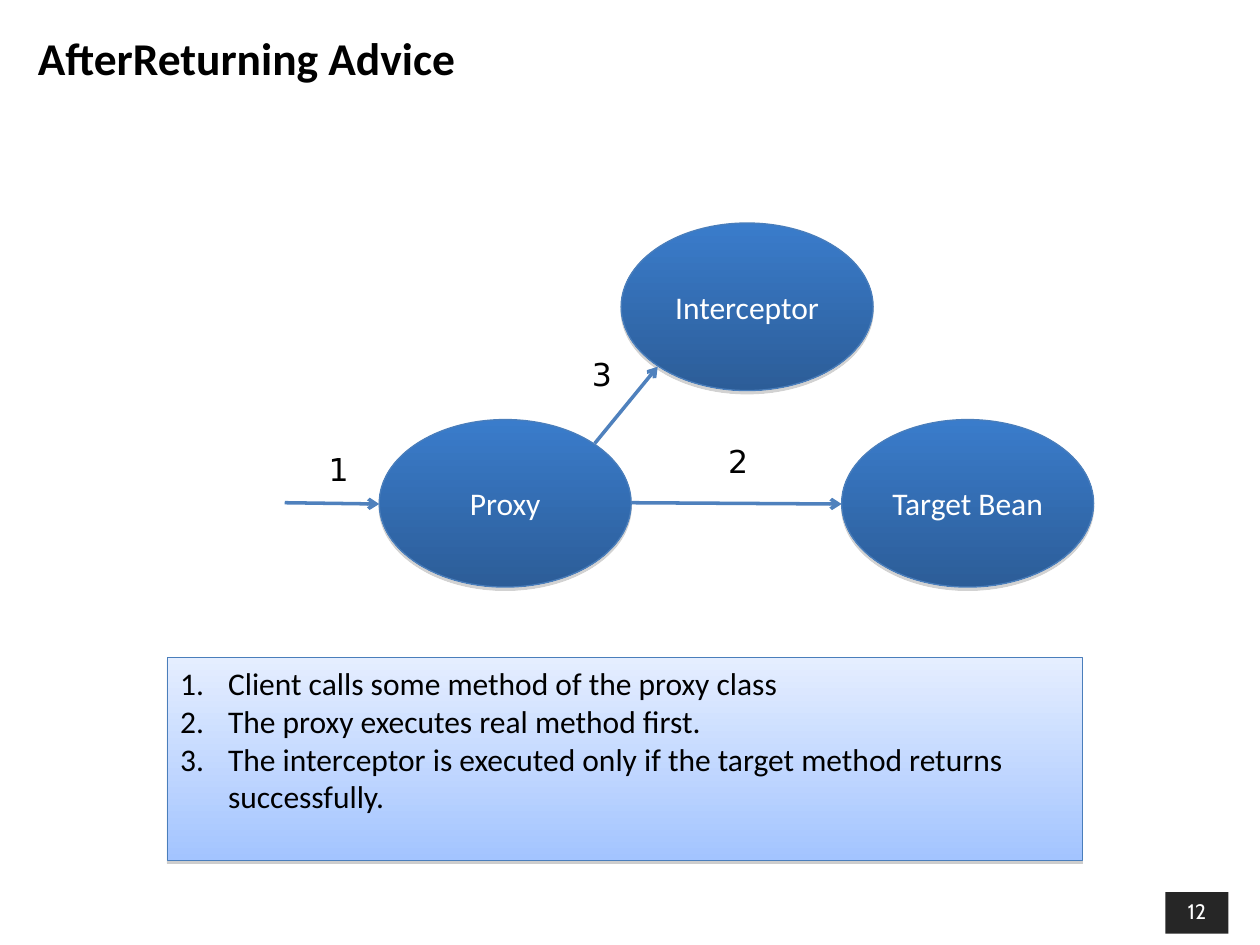
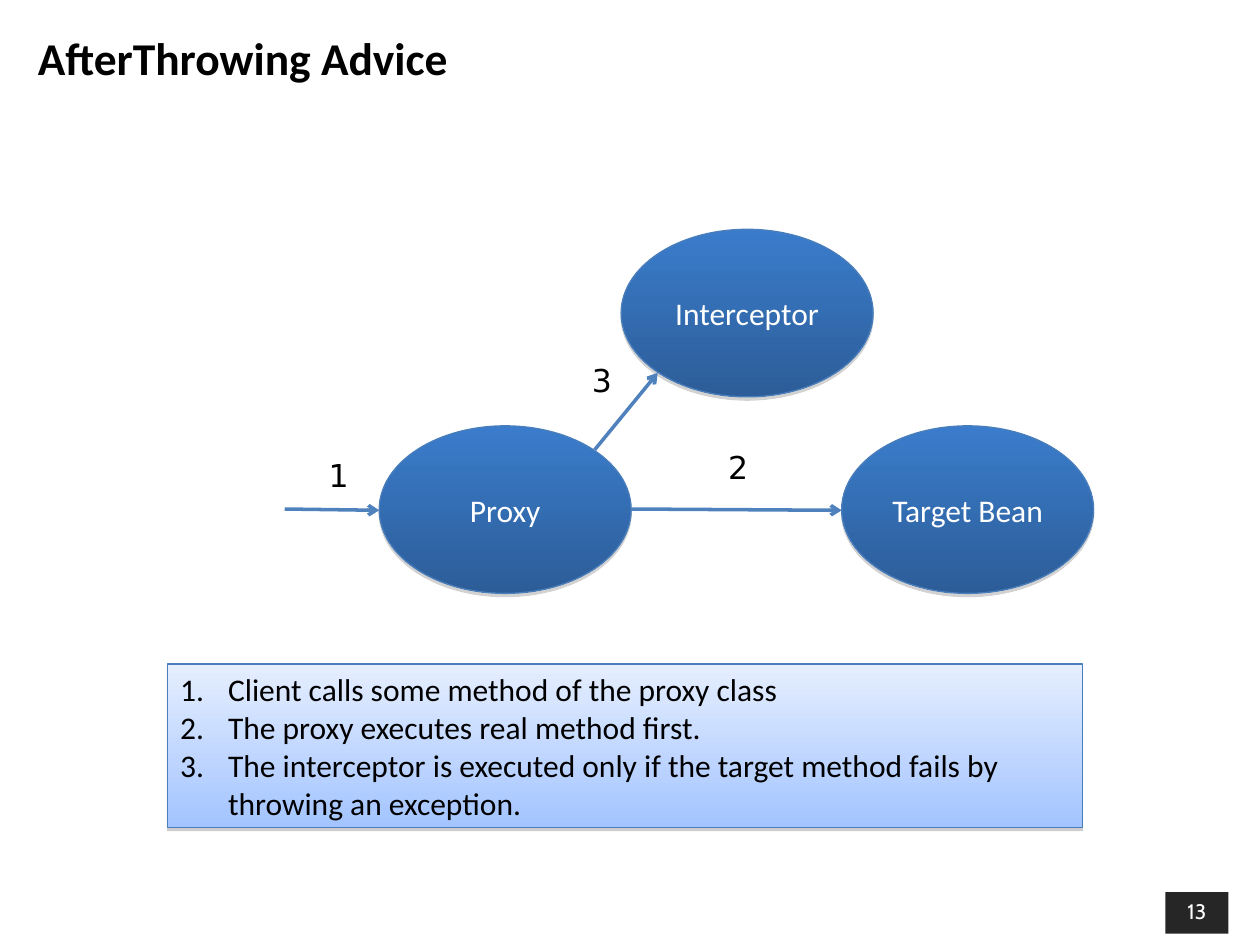
from lxml.etree import SubElement
from pptx import Presentation
from pptx.dml.color import RGBColor
from pptx.enum.shapes import MSO_CONNECTOR, MSO_SHAPE
from pptx.enum.text import MSO_ANCHOR, MSO_AUTO_SIZE, PP_ALIGN
from pptx.oxml.ns import qn
from pptx.util import Inches, Pt

BLACK = RGBColor(0x00, 0x00, 0x00)
WHITE = RGBColor(0xFF, 0xFF, 0xFF)
BADGE = RGBColor(0x26, 0x26, 0x26)
OUTLINE = RGBColor(0x4A, 0x7E, 0xBB)
ARROW = RGBColor(0x4F, 0x81, 0xBD)
NODE_COLORS = (RGBColor(0x3A, 0x7C, 0xCB), RGBColor(0x2C, 0x5D, 0x98))
STEPS_COLORS = (RGBColor(0xE5, 0xEE, 0xFF), RGBColor(0xA3, 0xC4, 0xFF))

TITLE_FORMAT = {"name": "Calibri", "size": Pt(26), "bold": True}
BODY_FORMAT = {"name": "Calibri", "size": Pt(18)}
NUMBER_FORMAT = {"name": "DejaVu Sans", "size": Pt(18)}
BADGE_FORMAT = {"name": "Cabin", "size": Pt(12)}

NODE_WIDTH, NODE_HEIGHT = 2, 1.33
NODES = [("Proxy", 3.01, 3.33), ("Interceptor", 4.93, 1.77), ("Target Bean", 6.68, 3.33)]
ARROWS = [(2.26, 3.99, 3.01, 4), (4.72, 3.52, 5.22, 2.91), (5.01, 3.99, 6.68, 4)]
NUMBERS = [("1", 2.51, 3.52), ("3", 4.6, 2.77), ("2", 5.68, 3.46)]
COMMON_STEPS = [
    "Client calls some method of the proxy class",
    "The proxy executes real method first.",
]
SLIDES = [
    ("AfterReturning Advice", 12, 0, 1.61,
     "The interceptor is executed only if the target method returns successfully."),
    ("AfterThrowing Advice", 13, 0.05, 1.3,
     "The interceptor is executed only if the target method fails by throwing an exception."),
]


def write_text(shape, lines, text_format, color, align, anchor):
    frame = shape.text_frame
    frame.word_wrap = True
    frame.auto_size = MSO_AUTO_SIZE.NONE
    frame.vertical_anchor = anchor
    frame.text = "\n".join(lines)
    for paragraph in frame.paragraphs:
        paragraph.alignment = align
        paragraph.space_before = Pt(0)
        font = paragraph.runs[0].font
        font.color.rgb = color
        for name, value in text_format.items():
            setattr(font, name, value)


def style_panel(shape, colors, shadow_percent, shadow_distance):
    shape.fill.gradient()
    shape.fill.gradient_angle = 270
    for stop, color in zip(shape.fill.gradient_stops, colors):
        stop.color.rgb = color
    shape.line.color.rgb = OUTLINE
    shape.line.width = Pt(0.75)
    shape.shadow.inherit = False
    effects = shape.element.spPr.find(qn("a:effectLst"))
    shadow = SubElement(effects, qn("a:outerShdw"), blurRad="0",
                        dist=str(Pt(shadow_distance)), dir="5400000", rotWithShape="0")
    shadow_color = SubElement(shadow, qn("a:srgbClr"), val="808080")
    SubElement(shadow_color, qn("a:alpha"), val=str(shadow_percent * 1000))


presentation = Presentation()
presentation.slide_width = Inches(10)
presentation.slide_height = Inches(7.5)

for title_text, number, drop, steps_height, last_step in SLIDES:
    slide = presentation.slides.add_slide(presentation.slide_layouts[1])

    badge = slide.shapes.add_shape(
        MSO_SHAPE.RECTANGLE, Inches(9.25), Inches(7.08), Inches(0.5), Inches(0.33))
    badge.fill.solid()
    badge.fill.fore_color.rgb = BADGE
    badge.line.fill.background()
    badge.shadow.inherit = False
    write_text(badge, [str(number)], BADGE_FORMAT, WHITE, PP_ALIGN.CENTER, MSO_ANCHOR.TOP)

    title = slide.shapes.title
    title.left, title.top = Inches(0.2), Inches(0.15)
    title.width, title.height = Inches(9.65), Inches(0.61)
    write_text(title, [title_text], TITLE_FORMAT, BLACK, PP_ALIGN.LEFT, MSO_ANCHOR.MIDDLE)

    for label, left, top in NODES:
        node = slide.shapes.add_shape(
            MSO_SHAPE.OVAL, Inches(left), Inches(top + drop),
            Inches(NODE_WIDTH), Inches(NODE_HEIGHT))
        style_panel(node, NODE_COLORS, 35, 1.8)
        write_text(node, [label], BODY_FORMAT, WHITE, PP_ALIGN.CENTER, MSO_ANCHOR.MIDDLE)

    steps = slide.placeholders[1]
    steps.left, steps.top = Inches(1.33), Inches(5.22 + drop)
    steps.width, steps.height = Inches(7.26), Inches(steps_height)
    style_panel(steps, STEPS_COLORS, 38, 1.6)
    write_text(steps, COMMON_STEPS + [last_step], BODY_FORMAT, BLACK,
               PP_ALIGN.LEFT, MSO_ANCHOR.TOP)
    for paragraph in steps.text_frame.paragraphs:
        properties = paragraph._p.get_or_add_pPr()
        properties.set("marL", str(Inches(0.38)))
        properties.set("indent", str(Inches(-0.38)))
        bullet_color = SubElement(properties, qn("a:buClr"))
        SubElement(bullet_color, qn("a:srgbClr"), val=str(BLACK))
        SubElement(properties, qn("a:buFont"), typeface="Calibri")
        SubElement(properties, qn("a:buAutoNum"), type="arabicPeriod")

    for start_x, start_y, end_x, end_y in ARROWS:
        arrow = slide.shapes.add_connector(
            MSO_CONNECTOR.STRAIGHT, Inches(start_x), Inches(start_y + drop),
            Inches(end_x), Inches(end_y + drop))
        arrow.line.color.rgb = ARROW
        arrow.line.width = Pt(2)
        arrow_properties = arrow.element.spPr
        SubElement(arrow_properties.find(qn("a:ln")), qn("a:tailEnd"), type="arrow")
        SubElement(arrow_properties, qn("a:effectLst"))

    for label, left, top in NUMBERS:
        number_box = slide.shapes.add_textbox(
            Inches(left), Inches(top + drop), Inches(0.5), Inches(0.4))
        write_text(number_box, [label], NUMBER_FORMAT, BLACK, PP_ALIGN.LEFT, MSO_ANCHOR.TOP)

presentation.save("out.pptx")
